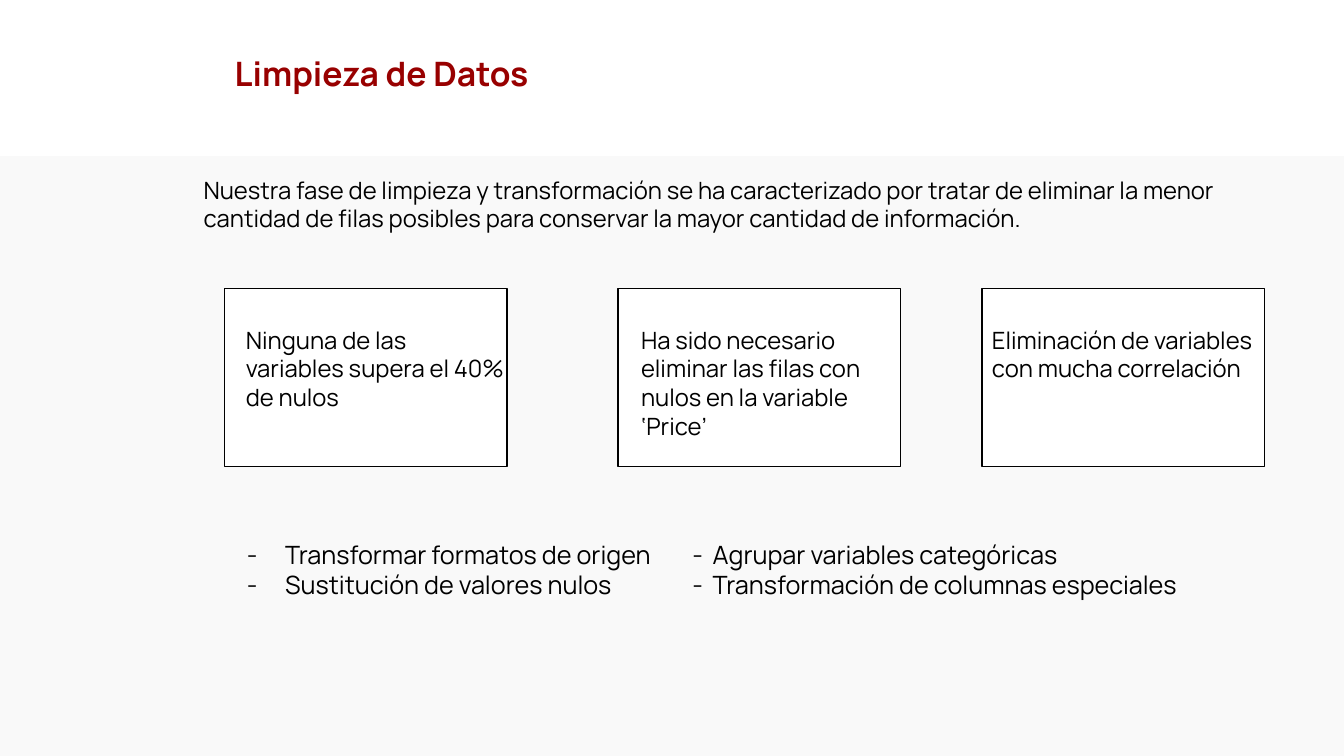
"""Build the data cleaning slide."""
import pptx
import pptx.dml.color
import pptx.enum.shapes
import pptx.enum.text
import pptx.oxml
import pptx.oxml.ns
import pptx.util

Inches = pptx.util.Inches
Anchor = pptx.enum.text.MSO_ANCHOR

COLORS = {"title": "980000", "text": "000000", "band": "F9F9F9", "card": "FFFFFF"}
FONT = "Manrope"

TITLE = "Limpieza de Datos"
INTRO = (
    "Nuestra fase de limpieza y transformación se ha caracterizado por tratar de "
    "eliminar la menor cantidad de filas posibles para conservar la mayor cantidad "
    "de información."
)
CARDS = [
    {"left": 2.23, "inset": 0.11, "width": 2.8,
     "text": "Ninguna de las variables supera el 40% de nulos"},
    {"left": 6.13, "inset": 0.13, "width": 2.66,
     "text": "Ha sido necesario eliminar las filas con nulos en la variable ‘Price’"},
    {"left": 9.74, "inset": 0, "width": 2.8,
     "text": "Eliminación de variables con mucha correlación"},
]
TASKS = [
    {"left": 2.23, "width": 4.5, "indent": 0.5, "hanging": 0.38,
     "lines": ["Transformar formatos de origen", "Sustitución de valores nulos"]},
    {"left": 6.77, "width": 5.6, "indent": 0.2, "hanging": 0.2,
     "lines": ["Agrupar variables categóricas", "Transformación de columnas especiales"]},
]

SLIDE_WIDTH, SLIDE_HEIGHT = 13.33, 7.5
BAND_TOP = 1.55
CARD_TOP, CARD_WIDTH, CARD_HEIGHT = 2.86, 2.8, 1.77
CARD_TEXT_TOP = 3.13
TASK_TOP, TASK_HEIGHT = 5.25, 0.8


def rgb(name):
    return pptx.dml.color.RGBColor.from_string(COLORS[name])


def add_panel(slide, box, fill, line=None):
    panel = slide.shapes.add_shape(
        pptx.enum.shapes.MSO_SHAPE.RECTANGLE, *map(Inches, box))
    panel.shadow.inherit = False
    panel.fill.solid()
    panel.fill.fore_color.rgb = rgb(fill)
    if line:
        panel.line.color.rgb = rgb(line)
        panel.line.width = pptx.util.Pt(1)
    else:
        panel.line.fill.background()


def set_bullet(paragraph, indent, hanging):
    properties = paragraph._p.get_or_add_pPr()
    properties.set("marL", str(Inches(indent)))
    properties.set("indent", str(-Inches(hanging)))
    namespace = pptx.oxml.ns.nsdecls("a")
    for bullet in (
        f'<a:buClr {namespace}><a:srgbClr val="{COLORS["text"]}"/></a:buClr>',
        f'<a:buFont {namespace} typeface="{FONT}"/>',
        f'<a:buChar {namespace} char="-"/>',
    ):
        properties.append(pptx.oxml.parse_xml(bullet))


def add_text(slide, box, lines, size=17, color="text", bold=False,
             anchor=Anchor.TOP, padding=0.1, spacing=None, bullet=None):
    frame = slide.shapes.add_textbox(*map(Inches, box)).text_frame
    frame.word_wrap = True
    frame.vertical_anchor = anchor
    frame.margin_left = frame.margin_right = Inches(0.1)
    frame.margin_top = frame.margin_bottom = Inches(padding)
    for index, line in enumerate(lines):
        paragraph = frame.add_paragraph() if index else frame.paragraphs[0]
        if spacing:
            paragraph.line_spacing = spacing
        if bullet:
            set_bullet(paragraph, *bullet)
        run = paragraph.add_run()
        run.text = line
        run.font.name = FONT
        run.font.size = pptx.util.Pt(size)
        run.font.bold = bold
        run.font.color.rgb = rgb(color)


def main():
    deck = pptx.Presentation()
    deck.slide_width = Inches(SLIDE_WIDTH)
    deck.slide_height = Inches(SLIDE_HEIGHT)
    slide = deck.slides.add_slide(deck.slide_layouts[6])

    add_panel(slide, (0, BAND_TOP, SLIDE_WIDTH, SLIDE_HEIGHT - BAND_TOP), "band")
    add_text(slide, (2.23, 0.58, 7.04, 0.34), [TITLE], size=24, color="title",
             bold=True, anchor=Anchor.MIDDLE, padding=0.05, spacing=0.9)
    add_text(slide, (1.92, 1.32, 10.45, 1.41), [INTRO], anchor=Anchor.MIDDLE)

    for card in CARDS:
        add_panel(slide, (card["left"], CARD_TOP, CARD_WIDTH, CARD_HEIGHT),
                  "card", line="text")
        add_text(slide, (card["left"] + card["inset"], CARD_TEXT_TOP,
                         card["width"], CARD_HEIGHT), [card["text"]])

    for column in TASKS:
        add_text(slide, (column["left"], TASK_TOP, column["width"], TASK_HEIGHT),
                 column["lines"], size=18, anchor=Anchor.MIDDLE,
                 bullet=(column["indent"], column["hanging"]))

    deck.save("out.pptx")


if __name__ == "__main__":
    main()
